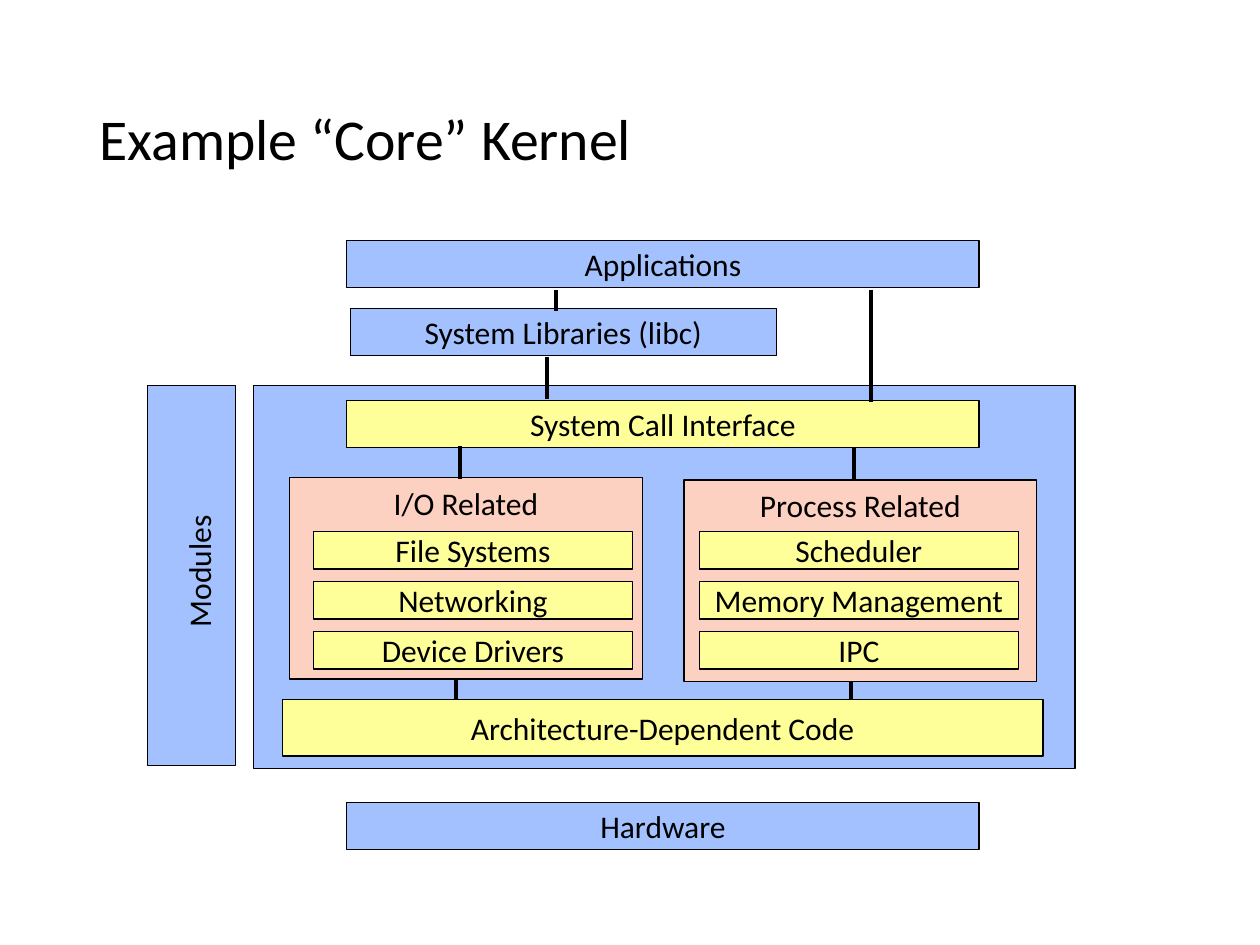
from dataclasses import dataclass

from lxml.etree import SubElement
from pptx import Presentation
from pptx.dml.color import RGBColor
from pptx.enum.shapes import MSO_CONNECTOR, MSO_SHAPE
from pptx.enum.text import MSO_ANCHOR, MSO_AUTO_SIZE, PP_ALIGN
from pptx.oxml.ns import qn
from pptx.util import Cm, Pt


@dataclass(frozen=True)
class Theme:
    font: str = "Calibri"
    title_size: Pt = Pt(33)
    label_size: Pt = Pt(18)
    ink: RGBColor = RGBColor(0x00, 0x00, 0x00)
    blue: RGBColor = RGBColor(0xA2, 0xC1, 0xFE)
    yellow: RGBColor = RGBColor(0xFF, 0xFF, 0x99)
    pink: RGBColor = RGBColor(0xFC, 0xD1, 0xC1)
    outline: Pt = Pt(0.75)
    link: Pt = Pt(2.25)


theme = Theme()


def write(shape, text, size, align, anchor):
    frame = shape.text_frame
    frame.text = text
    frame.vertical_anchor = anchor
    para = frame.paragraphs[0]
    para.alignment = align
    para.font.name = theme.font
    para.font.size = size
    para.font.color.rgb = theme.ink


def add_box(page, text, left, top, width, height, fill, anchor=MSO_ANCHOR.MIDDLE):
    box = page.shapes.add_shape(
        MSO_SHAPE.RECTANGLE, Cm(left), Cm(top), Cm(width), Cm(height))
    box.shadow.inherit = False
    box.fill.solid()
    box.fill.fore_color.rgb = fill
    box.line.color.rgb = theme.ink
    box.line.width = theme.outline
    if text:
        write(box, text, theme.label_size, PP_ALIGN.CENTER, anchor)
        box.text_frame.word_wrap = False


deck = Presentation()
deck.slide_width, deck.slide_height = Cm(25.4), Cm(19.05)
page = deck.slides.add_slide(deck.slide_layouts[5])

# Title
title = page.shapes.title
title.left, title.top, title.width, title.height = Cm(1.75), Cm(1.02), Cm(21.92), Cm(3.68)
write(title, "Example “Core” Kernel", theme.title_size, PP_ALIGN.LEFT, MSO_ANCHOR.MIDDLE)
title.text_frame.auto_size = MSO_AUTO_SIZE.NONE
title.text_frame.paragraphs[0].line_spacing = 0.9

# Kernel and modules backgrounds
add_box(page, "", 5.11, 7.77, 16.56, 7.72, theme.blue)
add_box(page, "", 2.97, 7.77, 1.78, 7.67, theme.blue)

# Layers
for text, left, top, width, height, fill in [
    ("Applications", 6.99, 4.85, 12.75, 0.95, theme.blue),
    ("System Libraries (libc)", 7.06, 6.22, 8.59, 0.95, theme.blue),
    ("System Call Interface", 6.99, 8.08, 12.75, 0.95, theme.yellow),
    ("Architecture-Dependent Code", 5.69, 14.1, 15.34, 1.14, theme.yellow),
    ("Hardware", 6.99, 16.18, 12.75, 0.95, theme.blue),
]:
    add_box(page, text, left, top, width, height, fill)

# Subsystem groups, each with a stack of parts
for heading, left, top, part_left, parts in [
    ("I/O Related", 5.84, 9.63, 6.32,
     ["File Systems", "Networking", "Device Drivers"]),
    ("Process Related", 13.79, 9.68, 14.1,
     ["Scheduler", "Memory Management", "IPC"]),
]:
    add_box(page, heading, left, top, 7.11, 4.06, theme.pink, MSO_ANCHOR.TOP)
    for row, part in enumerate(parts):
        add_box(page, part, part_left, 10.71 + row * 1.01, 6.43, 0.76, theme.yellow)

# Modules label, reading upwards
label = page.shapes.add_textbox(Cm(2.62), Cm(11), Cm(2.77), Cm(1.02))
label.rotation = 270
write(label, "Modules", theme.label_size, PP_ALIGN.LEFT, MSO_ANCHOR.TOP)
label.text_frame.word_wrap = False
label.text_frame.auto_size = MSO_AUTO_SIZE.SHAPE_TO_FIT_TEXT

# Vertical links between layers
for x, top, bottom in [
    (11.2, 5.84, 6.27),
    (11.02, 7.19, 8.05),
    (17.55, 5.84, 8.1),
    (9.27, 8.99, 9.65),
    (17.22, 9.02, 9.68),
    (9.19, 13.69, 14.12),
    (17.15, 13.74, 14.1),
]:
    link = page.shapes.add_connector(
        MSO_CONNECTOR.STRAIGHT, Cm(x), Cm(top), Cm(x), Cm(bottom))
    link.line.color.rgb = theme.ink
    link.line.width = theme.link
    SubElement(link._element.spPr, qn("a:effectLst"))

deck.save("out.pptx")
